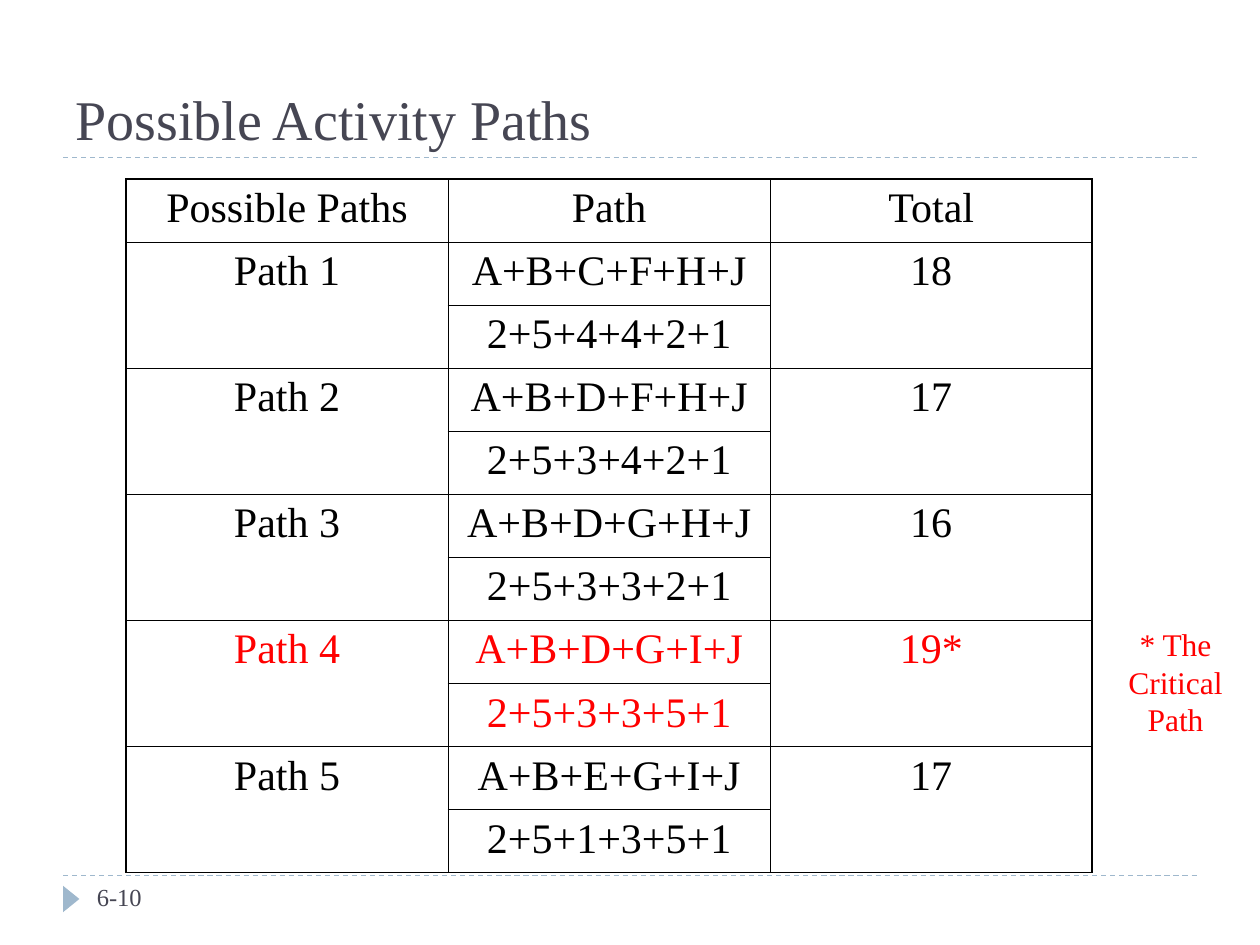
from lxml import etree
from pptx import Presentation
from pptx.dml.color import RGBColor
from pptx.enum.dml import MSO_LINE
from pptx.enum.shapes import MSO_CONNECTOR, MSO_SHAPE
from pptx.enum.text import MSO_ANCHOR, PP_ALIGN
from pptx.oxml.ns import qn
from pptx.util import Inches, Pt

STRAIGHT = MSO_CONNECTOR.STRAIGHT
TRIANGLE = MSO_SHAPE.ISOSCELES_TRIANGLE
DASH = MSO_LINE.DASH
TOP, BOTTOM = MSO_ANCHOR.TOP, MSO_ANCHOR.BOTTOM
LEFT, CENTER = PP_ALIGN.LEFT, PP_ALIGN.CENTER

FONT = "Times New Roman"
BLACK = RGBColor(0x00, 0x00, 0x00)
RED = RGBColor(0xFF, 0x00, 0x00)
SLATE = RGBColor(0x46, 0x46, 0x53)
BLUE_GREY = RGBColor(0x9F, 0xB8, 0xCD)

THIN, THICK = Pt(0.45), Pt(1.08)
HEADERS = ["Possible Paths", "Path", "Total"]
PATHS = [
    ("Path 1", "A+B+C+F+H+J", "2+5+4+4+2+1", "18"),
    ("Path 2", "A+B+D+F+H+J", "2+5+3+4+2+1", "17"),
    ("Path 3", "A+B+D+G+H+J", "2+5+3+3+2+1", "16"),
    ("Path 4", "A+B+D+G+I+J", "2+5+3+3+5+1", "19*"),
    ("Path 5", "A+B+E+G+I+J", "2+5+1+3+5+1", "17"),
]
CRITICAL = "Path 4"


def write(frame, text, size, color, align):
    para = frame.paragraphs[0]
    para.text = text
    para.alignment = align
    for span in para.runs:
        span.font.name = FONT
        span.font.size = Pt(size)
        span.font.color.rgb = color


def add_text(page, box, text, size, color, align=LEFT, anchor=TOP):
    frame = page.shapes.add_textbox(*box).text_frame
    frame.word_wrap = True
    frame.vertical_anchor = anchor
    write(frame, text, size, color, align)


def add_rule(page, left, top, width):
    rule = page.shapes.add_connector(STRAIGHT, left, top, left + width, top)
    rule.line.color.rgb = BLUE_GREY
    rule.line.width = Pt(0.75)
    rule.line.dash_style = DASH
    etree.SubElement(rule._element.spPr, qn("a:effectLst"))


def add_title(page, left, top, width, height):
    add_rule(page, left, top + height, width)
    add_text(page, (left, top, width, height), "Possible Activity Paths",
             32, SLATE, anchor=BOTTOM)


def add_footer(page, left, top, width):
    add_rule(page, left, top, width)
    marker = page.shapes.add_shape(TRIANGLE, left - Inches(0.04), top + Inches(0.12),
                                   Inches(0.21), Inches(0.13))
    marker.rotation = 90
    marker.shadow.inherit = False
    marker.fill.solid()
    marker.fill.fore_color.rgb = BLUE_GREY
    marker.line.fill.background()
    add_text(page, (left + Inches(0.17), top, Inches(2.17), Inches(0.4)),
             "6-10", 14, SLATE)


def set_borders(cell, widths):
    properties = cell._tc.get_or_add_tcPr()
    for index, (side, width) in enumerate(zip("LRTB", widths)):
        line = etree.Element(qn(f"a:ln{side}"), w=str(width))
        fill = etree.SubElement(line, qn("a:solidFill"))
        etree.SubElement(fill, qn("a:srgbClr"), val=str(BLACK))
        properties.insert(index, line)


def add_path_table(page, left, top, width, height):
    row_count, column_count = 1 + 2 * len(PATHS), len(HEADERS)
    table = page.shapes.add_table(row_count, column_count, left, top, width, height).table
    table.first_row = table.horz_banding = False
    for row in range(row_count):
        for column in range(column_count):
            cell = table.cell(row, column)
            cell.fill.background()
            at_edge = (column == 0, column == column_count - 1,
                       row == 0, row == row_count - 1)
            set_borders(cell, [THICK if edge else THIN for edge in at_edge])

    for column, header in enumerate(HEADERS):
        write(table.cell(0, column).text_frame, header, 24, BLACK, CENTER)
    for index, (name, activities, durations, total) in enumerate(PATHS):
        row = 1 + 2 * index
        color = RED if name == CRITICAL else BLACK
        for column in (0, 2):
            table.cell(row, column).merge(table.cell(row + 1, column))
            if index == len(PATHS) - 1:
                bottom = table.cell(row, column)._tc.tcPr.find(qn("a:lnB"))
                bottom.set("w", str(THICK))
        entries = [(row, 0, name), (row, 1, activities),
                   (row + 1, 1, durations), (row, 2, total)]
        for line, column, text in entries:
            write(table.cell(line, column).text_frame, text, 24, color, CENTER)


def main():
    deck = Presentation()
    deck.slide_width, deck.slide_height = Inches(10), Inches(7.5)
    page = deck.slides.add_slide(deck.slide_layouts[6])
    add_footer(page, Inches(0.5), Inches(6.95), Inches(9))
    add_title(page, Inches(0.5), Inches(0.17), Inches(9), Inches(1.08))
    add_path_table(page, Inches(1), Inches(1.42), Inches(7.67), Inches(5.5))
    add_text(page, (Inches(8.83), Inches(4.91), Inches(1), Inches(1)),
             "* The Critical Path", 18, RED, CENTER)
    deck.save("out.pptx")


if __name__ == "__main__":
    main()
